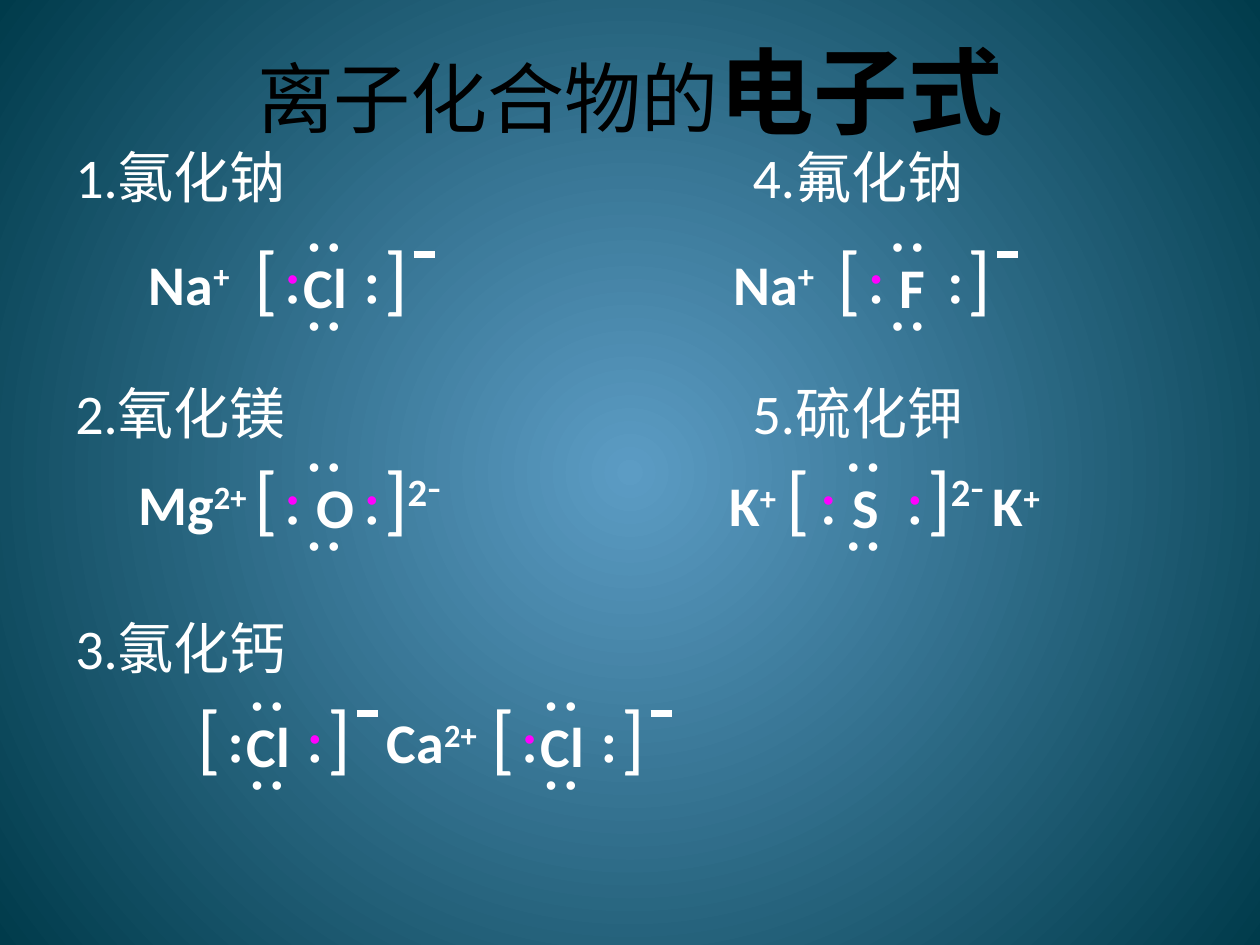
"""Build a slide of electron-dot formulas for five ionic compounds."""
from lxml import etree
from pptx import Presentation
from pptx.dml.color import RGBColor
from pptx.enum import shapes, text
from pptx.oxml import ns
from pptx.util import Pt

COLOURS = {"white": "FFFFFF", "pink": "FF00FF", "black": "000000",
           "centre": "5C9CC4", "edge": "003B4B"}
PLAIN = {"name": "Calibri", "size": Pt(32), "bold": False}
BOLD = {**PLAIN, "bold": True}
BRACKET = {**PLAIN, "size": Pt(44)}
CHARGE = {**BOLD, "size": Pt(38)}
DOT = {"name": "Arial", "size": Pt(18), "bold": False}
DOT_WIDTH, DOT_HEIGHT = 35.3, 28.8
COLUMNS, ROWS = (36, 423), (78, 212.5, 347)
LABELS = [("1.氯化钠", 0, 0), ("2.氧化镁", 0, 1), ("3.氯化钙", 0, 2),
          ("4.氟化钠", 1, 0), ("5.硫化钾", 1, 1)]
CATIONS = [("Na", "+", 78, 139), ("Mg", "2+", 72, 265), ("Ca", "2+", 214, 401),
           ("Na", "+", 412, 139), ("K", "+", 409.7, 265.5), ("K", "+", 560.3, 265.5)]
ANIONS = [
    {"symbol": "Cl", "left": 138.4, "top": 127.5, "pink": "l"},
    {"symbol": "O", "left": 138.4, "top": 253.5, "pink": "lr", "indent": 7.2, "double": True},
    {"symbol": "Cl", "left": 105.8, "top": 390, "pink": "r"},
    {"symbol": "Cl", "left": 273.8, "top": 390, "pink": "l"},
    {"symbol": "F", "left": 471.8, "top": 127.5, "pink": "l", "indent": 7.2},
    {"symbol": "S", "left": 442.1, "top": 253.5, "pink": "lr", "indent": 7.2,
     "double": True, "stretch": 1.09},
]


def rgb(colour):
    """Return the named colour."""
    return RGBColor.from_string(COLOURS[colour])


def add_span(para, words, style, colour="white", raised=False):
    """Append a formatted run, raised as a superscript if asked."""
    span = para.add_run()
    span.text = words
    for key, value in style.items():
        setattr(span.font, key, value)
    span.font.color.rgb = rgb(colour)
    if raised:
        span.font._element.set("baseline", "30000")


def add_box(page, left, top, width, height, spans, rotation=0):
    """Add an unwrapped text box holding one line of spans."""
    box = page.shapes.add_textbox(Pt(left), Pt(top), Pt(width), Pt(height))
    box.rotation = rotation
    frame = box.text_frame
    frame.word_wrap = False
    frame.auto_size = text.MSO_AUTO_SIZE.SHAPE_TO_FIT_TEXT
    for span in spans:
        add_span(frame.paragraphs[0], *span)


def add_dots(page, centre, middle, colour="white", rotation=0):
    """Add an electron pair around a centre point."""
    add_box(page, centre - DOT_WIDTH / 2, middle - DOT_HEIGHT / 2, DOT_WIDTH, DOT_HEIGHT,
            [("• ", DOT), ("•", DOT, colour)], rotation)


def add_minus(page, left, top):
    """Add a heavy stroke as a single negative charge."""
    line = page.shapes.add_connector(shapes.MSO_CONNECTOR.STRAIGHT,
                                     Pt(left), Pt(top), Pt(left + 12), Pt(top))
    line.line.width = Pt(4)
    line.line.color.rgb = rgb("white")
    etree.SubElement(line._element.spPr, ns.qn("a:effectLst"))


def add_anion(page, symbol, left, top, pink, indent=0, double=False, stretch=1):
    """Add a bracketed anion with its electron pairs and charge."""
    def across(offset):
        """Return a stretched horizontal position."""
        return left + offset * stretch

    closing = [("]", BRACKET)]
    if double:
        closing += [("2", CHARGE, "white", True), ("-", BRACKET, "white", True)]
    else:
        add_minus(page, across(98), top + 18)
    add_box(page, left, top, 26.6 * stretch, 60, [("[", BRACKET)])
    add_box(page, across(74), top, (50.4 if double else 26.6) * stretch, 60, closing)
    add_box(page, across(28) + indent, top + 13, 46, 45.5, [(symbol, BOLD)])
    for middle in (13, 58):
        add_dots(page, across(48.6), top + middle)
    for side, centre in (("l", 27.7), ("r", 73)):
        colour = "pink" if side in pink else "white"
        add_dots(page, across(centre), top + 36.5, colour, 270)


def set_background(page):
    """Fill the page with a circular gradient."""
    fill = page.background.fill
    fill.gradient()
    for stop, colour in zip(fill.gradient_stops, ("centre", "edge")):
        stop.color.rgb = rgb(colour)
    gradient = page._element.find(".//" + ns.qn("a:gradFill"))
    gradient.remove(gradient.find(ns.qn("a:lin")))
    circle = etree.SubElement(gradient, ns.qn("a:path"), path="circle")
    etree.SubElement(circle, ns.qn("a:fillToRect"),
                     {side: "50000" for side in "ltrb"})


def set_title(page):
    """Place and format the title."""
    title = page.shapes.title
    place = {"left": 36, "top": 6, "width": 648, "height": 90}
    for key, value in place.items():
        setattr(title, key, Pt(value))
    frame = title.text_frame
    frame.vertical_anchor = text.MSO_ANCHOR.MIDDLE
    para = frame.paragraphs[0]
    para.alignment = text.PP_ALIGN.CENTER
    add_span(para, "离子化合物的", BRACKET, "black")
    add_span(para, "电子式", {**BOLD, "size": Pt(54)}, "black")


def main():
    """Build and save the deck."""
    deck = Presentation()
    deck.slide_width, deck.slide_height = Pt(720), Pt(540)
    page = deck.slides.add_slide(deck.slide_layouts[5])
    set_background(page)
    set_title(page)
    for words, column, row in LABELS:
        add_box(page, COLUMNS[column], ROWS[row], 150, 46, [(words, PLAIN)])
    for symbol, charge, left, top in CATIONS:
        add_box(page, left, top, 100, 45.5,
                [(symbol, BOLD), (charge, BOLD, "white", True)])
    for anion in ANIONS:
        add_anion(page, **anion)
    deck.save("out.pptx")


if __name__ == "__main__":
    main()
